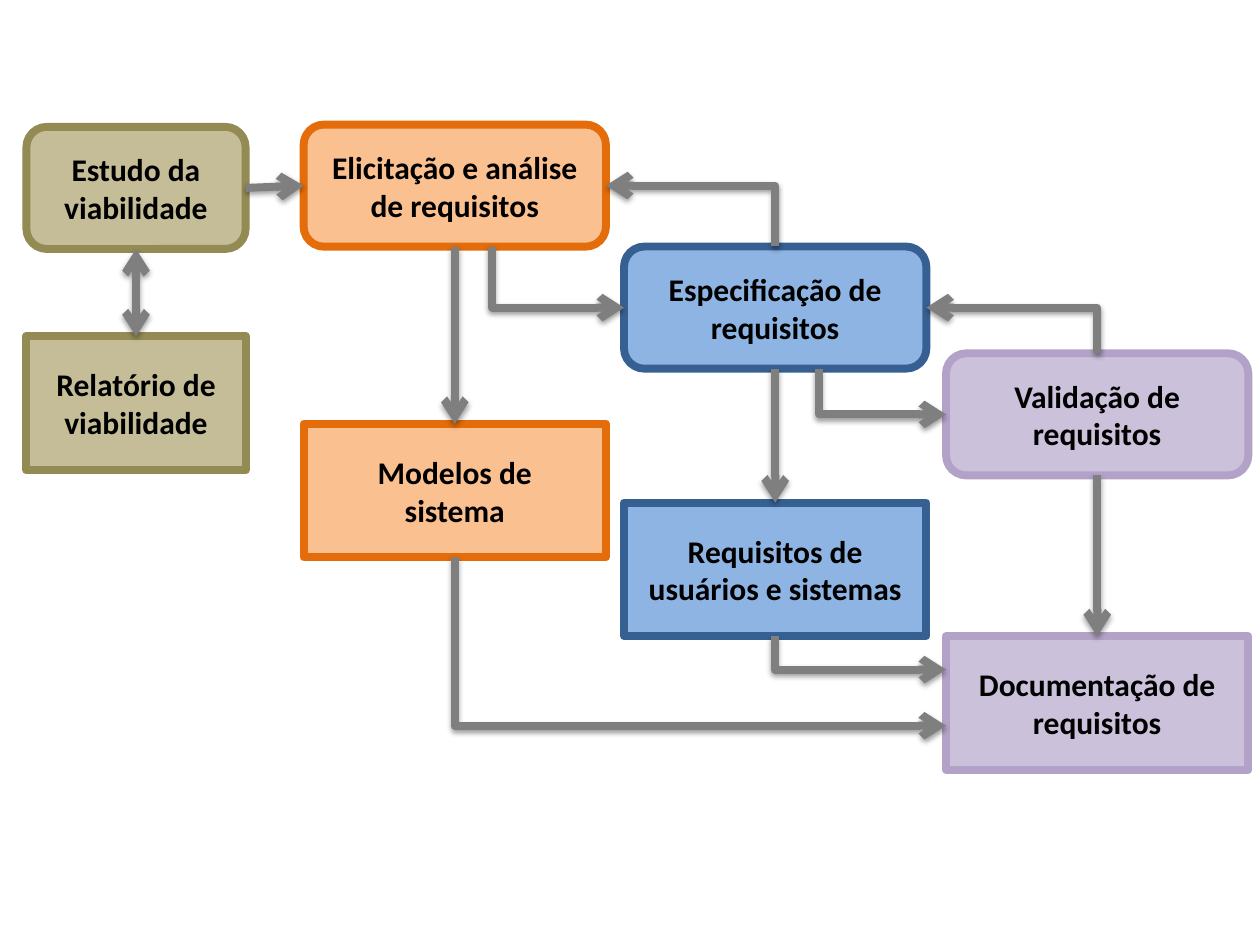
from lxml.etree import SubElement
from pptx import Presentation
from pptx.dml.color import RGBColor
from pptx.enum.shapes import MSO_CONNECTOR as Connector, MSO_SHAPE as Shape
from pptx.enum.text import MSO_ANCHOR as Anchor, PP_ALIGN as Align
from pptx.oxml.ns import qn
from pptx.util import Pt

BLACK = RGBColor(0x00, 0x00, 0x00)
GRAY = RGBColor(0x7F, 0x7F, 0x7F)
LINE_WIDTH = 4.5
PROCESS_HEIGHT, DOCUMENT_HEIGHT = 69.8, 76.3
TOP, LEFT, BOTTOM, RIGHT = range(4)

# One column per stage: left, width, fill, outline,
# (process name, top, text), (document name, top, text)
STAGES = [
    (15.1, 125.3, RGBColor(0xC4, 0xBD, 0x97), RGBColor(0x94, 0x8A, 0x54),
     ("study", 72.5, "Estudo da viabilidade"),
     ("report", 192.2, "Relatório de viabilidade")),
    (173.5, 172.8, RGBColor(0xFA, 0xC0, 0x90), RGBColor(0xE4, 0x6C, 0x0A),
     ("elicitation", 71.2, "Elicitação e análise de requisitos"),
     ("models", 242.2, "Modelos de\nsistema")),
    (356.6, 172.8, RGBColor(0x8E, 0xB4, 0xE3), RGBColor(0x37, 0x60, 0x92),
     ("specification", 140.9, "Especificação de requisitos"),
     ("requirements", 287.2, "Requisitos de usuários e sistemas")),
    (540.6, 172.8, RGBColor(0xCC, 0xC1, 0xDA), RGBColor(0xB3, 0xA2, 0xC7),
     ("validation", 201.9, "Validação de requisitos"),
     ("documentation", 363.6, "Documentação de requisitos")),
]

# source, side, target, side, arrowhead at both ends
STRAIGHT_ARROWS = [
    ("study", BOTTOM, "report", TOP, True),
    ("elicitation", BOTTOM, "models", TOP, False),
    ("specification", BOTTOM, "requirements", TOP, False),
    ("validation", BOTTOM, "documentation", TOP, False),
    ("study", RIGHT, "elicitation", LEFT, False),
]

# source, side, shift from its centre, target, side, share of its height
ELBOW_ARROWS = [
    ("elicitation", BOTTOM, 21.5, "specification", LEFT, 0.5),
    ("specification", BOTTOM, 25, "validation", LEFT, 0.5),
    ("requirements", BOTTOM, 0, "documentation", LEFT, 0.25),
    ("models", BOTTOM, 0, "documentation", LEFT, 0.67),
    ("specification", TOP, 0, "elicitation", RIGHT, 0.5),
    ("validation", TOP, 0, "specification", RIGHT, 0.5),
]


def add_box(slide, kind, left, top, width, height, fill, outline, text):
    box = slide.shapes.add_shape(kind, Pt(left), Pt(top), Pt(width), Pt(height))
    box.shadow.inherit = False
    box.fill.solid()
    box.fill.fore_color.rgb = fill
    box.line.color.rgb = outline
    box.line.width = Pt(LINE_WIDTH)
    frame = box.text_frame
    frame.word_wrap = True
    frame.vertical_anchor = Anchor.MIDDLE
    frame.text = text
    for paragraph in frame.paragraphs:
        paragraph.alignment = Align.CENTER
        font = paragraph.font
        font.name, font.size, font.bold = "Calibri", Pt(18), True
        font.color.rgb = BLACK
    return box


def style_arrow(arrow, both_ends=False):
    """Give a connector its gray line, arrowheads and soft shadow."""
    arrow.line.color.rgb = GRAY
    arrow.line.width = Pt(LINE_WIDTH)
    line = arrow.line._get_or_add_ln()
    if both_ends:
        SubElement(line, qn("a:headEnd"), type="arrow")
    SubElement(line, qn("a:tailEnd"), type="arrow")
    effects = SubElement(arrow._element.spPr, qn("a:effectLst"))
    shadow = SubElement(effects, qn("a:outerShdw"), blurRad="40000",
                        dist="20000", dir="5400000", rotWithShape="0")
    color = SubElement(shadow, qn("a:srgbClr"), val="000000")
    SubElement(color, qn("a:alpha"), val="38000")


def add_straight_arrow(slide, source, source_side, target, target_side, both_ends):
    arrow = slide.shapes.add_connector(Connector.STRAIGHT, 0, 0, 0, 0)
    arrow.begin_connect(source, source_side)
    arrow.end_connect(target, target_side)
    style_arrow(arrow, both_ends)


def add_elbow_arrow(slide, source, source_side, shift, target, target_side, share):
    """Leave the source vertically, turn once, and enter the target sideways."""
    start_x = source.left + source.width // 2 + Pt(shift)
    start_y = source.top + (source.height if source_side == BOTTOM else 0)
    end_x = target.left + (target.width if target_side == RIGHT else 0)
    end_y = target.top + int(target.height * share)
    arrow = slide.shapes.add_connector(
        Connector.ELBOW, start_x, start_y, end_x, end_y)
    adjustments = arrow._element.spPr.find(qn("a:prstGeom")).get_or_add_avLst()
    SubElement(adjustments, qn("a:gd"), name="adj1", fmla="val 0")
    style_arrow(arrow)


def main():
    presentation = Presentation()
    presentation.slide_width, presentation.slide_height = Pt(720), Pt(540)
    slide = presentation.slides.add_slide(presentation.slide_layouts[6])

    boxes = {}
    for left, width, fill, outline, process, document in STAGES:
        for (name, top, text), kind, height in (
            (process, Shape.FLOWCHART_ALTERNATE_PROCESS, PROCESS_HEIGHT),
            (document, Shape.RECTANGLE, DOCUMENT_HEIGHT),
        ):
            boxes[name] = add_box(slide, kind, left, top, width, height,
                                  fill, outline, text)

    for source, source_side, target, target_side, both_ends in STRAIGHT_ARROWS:
        add_straight_arrow(slide, boxes[source], source_side,
                           boxes[target], target_side, both_ends)
    for source, source_side, shift, target, target_side, share in ELBOW_ARROWS:
        add_elbow_arrow(slide, boxes[source], source_side, shift,
                        boxes[target], target_side, share)

    presentation.save("out.pptx")


if __name__ == "__main__":
    main()
